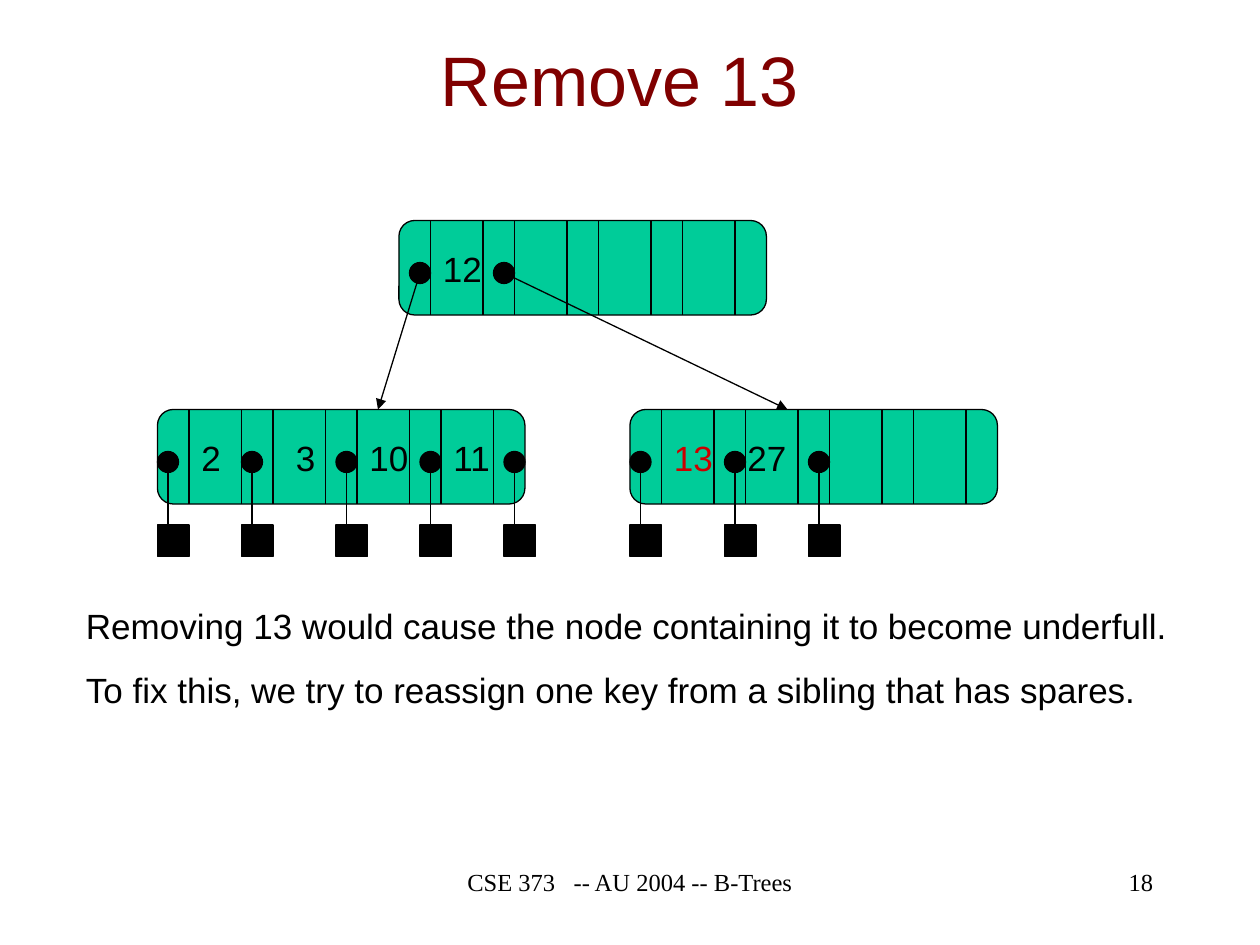
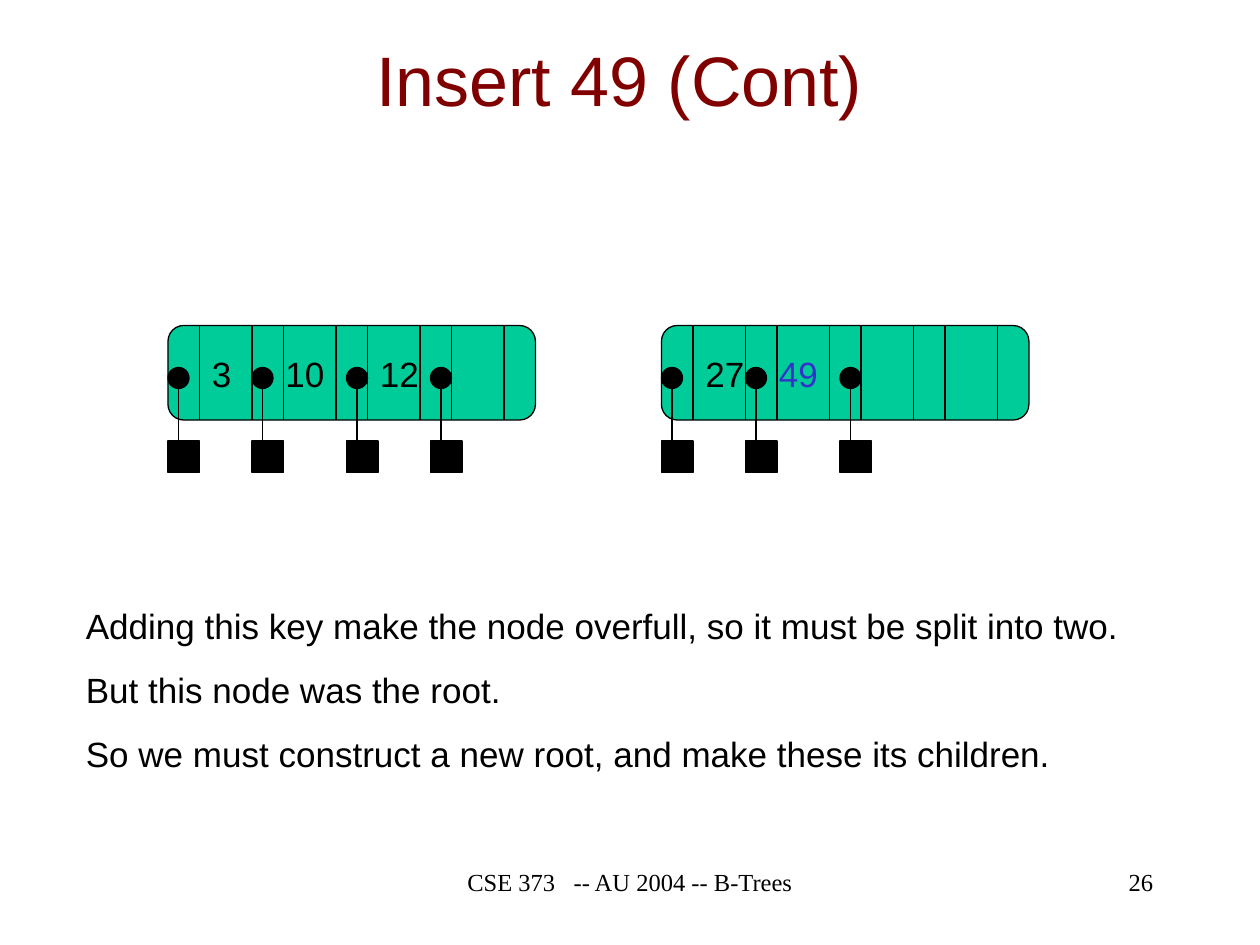
"""Build two lecture slides showing B-tree nodes, their keys and their pointers."""
from dataclasses import dataclass

from lxml.etree import SubElement
from pptx import Presentation
from pptx.dml.color import RGBColor as Color
from pptx.enum.shapes import MSO_CONNECTOR as Connector, MSO_SHAPE as Preset
from pptx.enum.text import MSO_ANCHOR as Anchor, PP_ALIGN as Align
from pptx.oxml.ns import qn
from pptx.util import Cm, Pt


@dataclass(frozen=True)
class Theme:
    ink: str = "000000"
    title: str = "800000"
    node: str = "00CC99"
    removed: str = "CC0000"
    inserted: str = "3333CC"
    font: str = "Arial"
    footer_font: str = "Times New Roman"
    title_size: int = 40
    body_size: int = 20
    footer_size: int = 14
    paragraph_gap: float = 12.5
    line_width: float = 0.75


THEME = Theme()
FOOTER = "CSE 373   -- AU 2004 -- B-Trees"
CELLS_PER_INCH = 12
NODE_WIDTH, NODE_HEIGHT = 35, 9
KEY_SLOTS = 4
SLOT_PITCH, POINTER_WIDTH, KEY_WIDTH = 8, 3, 5
DOT_SIZE, DOT_DROP = 2, 4
RECORD_SIZE, RECORD_DROP = 3, 11
KEY_DROP = 2


def grid(cells):
    """Convert grid cells to a length."""
    return Cm(cells * 2.54 / CELLS_PER_INCH)


def add_text(slide, text, left, top, width, height, *, size=THEME.body_size,
             color=THEME.ink, font=THEME.font, align=Align.LEFT,
             anchor=Anchor.TOP, wrap=True, gap=0):
    """Add a text box with one paragraph per line of text."""
    box = slide.shapes.add_textbox(grid(left), grid(top), grid(width), grid(height))
    frame = box.text_frame
    frame.word_wrap = wrap
    frame.vertical_anchor = anchor
    frame.text = text
    for paragraph in frame.paragraphs:
        paragraph.alignment = align
        paragraph.space_before = Pt(gap)
        paragraph.font.size = Pt(size)
        paragraph.font.name = font
        paragraph.font.color.rgb = Color.from_string(color)


def add_block(slide, preset, left, top, width, height, fill=THEME.ink):
    """Add a filled, outlined preset shape."""
    shape = slide.shapes.add_shape(preset, grid(left), grid(top), grid(width), grid(height))
    shape.shadow.inherit = False
    shape.fill.solid()
    shape.fill.fore_color.rgb = Color.from_string(fill)
    shape.line.color.rgb = Color.from_string(THEME.ink)
    shape.line.width = Pt(THEME.line_width)


def add_line(slide, start, end, arrow=False):
    """Add a straight line, with an arrowhead at its end if wanted."""
    connector = slide.shapes.add_connector(
        Connector.STRAIGHT, *(grid(cells) for cells in (*start, *end)))
    connector.line.color.rgb = Color.from_string(THEME.ink)
    connector.line.width = Pt(THEME.line_width)
    properties = connector.element.spPr
    if arrow:
        SubElement(properties.find(qn("a:ln")), qn("a:tailEnd"), type="triangle")
    SubElement(properties, qn("a:effectLst"))


def add_node(slide, left, top, keys):
    """Draw an empty node with its dividers, then its (offset, key, color) entries."""
    add_block(slide, Preset.ROUNDED_RECTANGLE, left, top, NODE_WIDTH, NODE_HEIGHT, THEME.node)
    for slot in range(KEY_SLOTS):
        key_start = left + POINTER_WIDTH + slot * SLOT_PITCH
        for x in (key_start, key_start + KEY_WIDTH):
            add_line(slide, (x, top), (x, top + NODE_HEIGHT))
    for offset, key, color in keys:
        add_text(slide, key, left + offset, top + KEY_DROP, 2.3 + 1.9 * len(key), 5.25,
                 color=color, wrap=False)


def add_pointer(slide, left, top, target):
    """Draw a pointer dot in the node whose top is given, and its arrow to target."""
    add_block(slide, Preset.OVAL, left, top + DOT_DROP, DOT_SIZE, DOT_SIZE)
    center = (left + DOT_SIZE / 2, top + DOT_DROP + DOT_SIZE / 2)
    add_line(slide, center, target, arrow=True)


def add_leaf(slide, left, top, keys, pointers):
    """Draw a node whose pointers lead to data records."""
    add_node(slide, left, top, keys)
    for offset in pointers:
        x, record_top = left + offset, top + RECORD_DROP
        add_pointer(slide, x, top, (x + DOT_SIZE / 2, record_top + 2))
        add_block(slide, Preset.RECTANGLE, x, record_top, RECORD_SIZE, RECORD_SIZE)


def add_slide(presentation, title, number, notes):
    """Add a blank slide with its title, explanation and footer."""
    slide = presentation.slides.add_slide(presentation.slide_layouts[6])
    add_text(slide, title, 8, 2, 102, 11, size=THEME.title_size, color=THEME.title,
             align=Align.CENTER, anchor=Anchor.MIDDLE)
    add_text(slide, "\n".join(notes), 7, 57, 108, 17.4, gap=THEME.paragraph_gap)
    footer_style = {"size": THEME.footer_size, "font": THEME.footer_font}
    add_text(slide, FOOTER, 41, 82, 38, 6, align=Align.CENTER, **footer_style)
    add_text(slide, str(number), 86, 82, 25, 6, align=Align.RIGHT, **footer_style)
    return slide


def add_remove_slide(presentation):
    """Show the tree from which 13 is removed."""
    slide = add_slide(presentation, "Remove 13", 18, [
        "Removing 13 would cause the node containing it to become underfull.",
        "To fix this, we try to reassign one key from a sibling that has spares.",
    ])
    root_left, root_top, leaf_top = 38, 21, 39
    left_keys = [(3, "2", THEME.ink), (12, "3", THEME.ink),
                 (19, "10", THEME.ink), (27, "11", THEME.ink)]
    add_leaf(slide, 15, leaf_top, left_keys, [0, 8, 17, 25, 33])
    right_keys = [(3, "13", THEME.removed), (10, "27", THEME.ink)]
    add_leaf(slide, 60, leaf_top, right_keys, [0, 9, 17])
    add_node(slide, root_left, root_top, [(3, "12", THEME.ink)])
    for offset, child_x in ((1, 36), (9, 75)):
        add_pointer(slide, root_left + offset, root_top, (child_x, leaf_top))


def add_insert_slide(presentation):
    """Show the two nodes left by splitting the root."""
    slide = add_slide(presentation, "Insert 49 (Cont)", 26, [
        "Adding this key make the node overfull, so it must be split into two.",
        "But this node was the root.",
        "So we must construct a new root, and make these its children.",
    ])
    leaf_top = 31
    left_keys = [(3, "3", THEME.ink), (10, "10", THEME.ink), (19, "12", THEME.ink)]
    add_leaf(slide, 16, leaf_top, left_keys, [0, 8, 17, 25])
    right_keys = [(3, "27", THEME.ink), (10, "49", THEME.inserted)]
    add_leaf(slide, 63, leaf_top, right_keys, [0, 8, 17])


def main():
    """Build and save the presentation."""
    presentation = Presentation()
    presentation.slide_width = Cm(25.4)
    presentation.slide_height = Cm(19.05)
    add_remove_slide(presentation)
    add_insert_slide(presentation)
    presentation.save("out.pptx")


if __name__ == "__main__":
    main()
